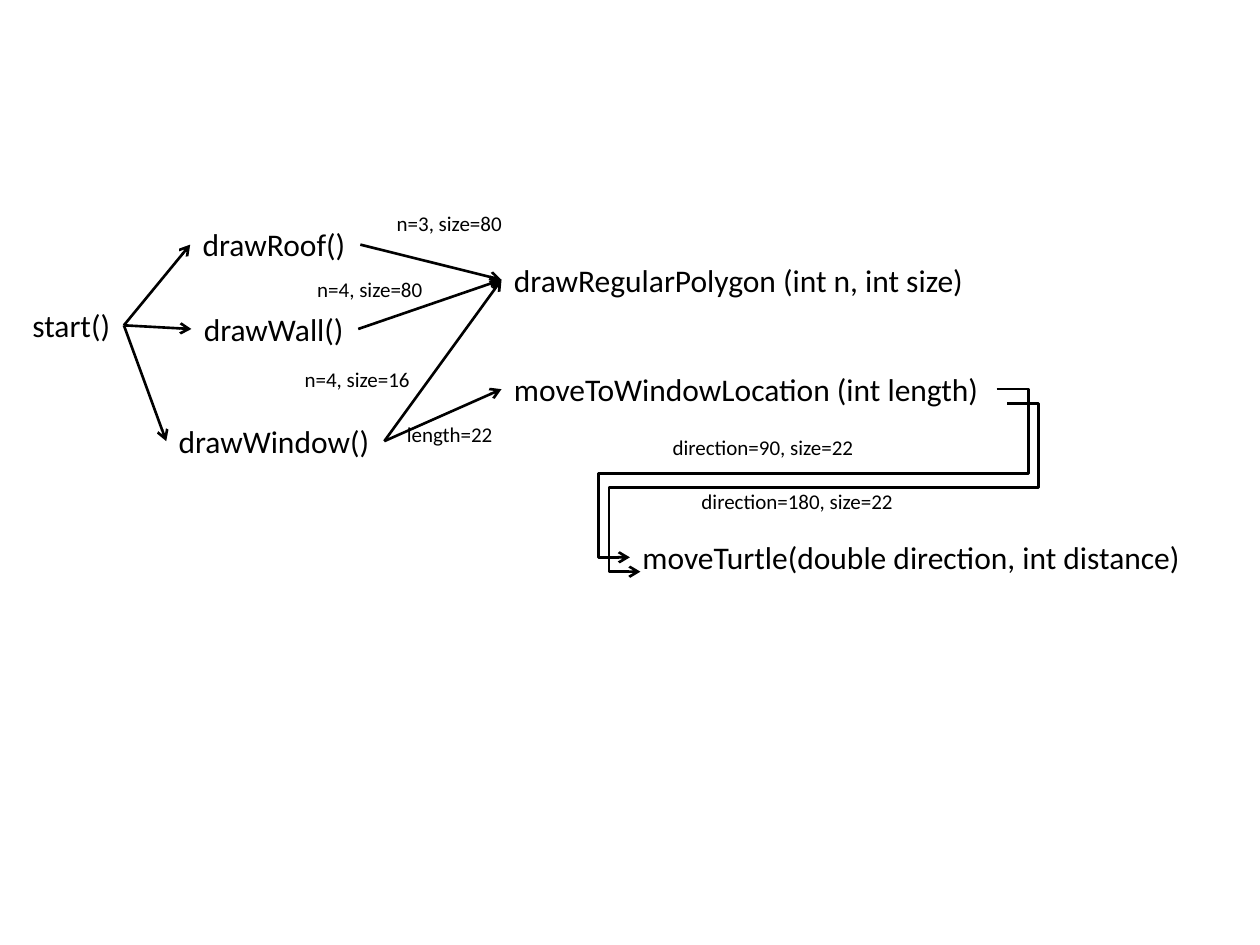
from lxml import etree
from pptx import Presentation
from pptx.dml.color import RGBColor
from pptx.enum import shapes, text
from pptx.oxml import ns
from pptx.util import Pt

BLACK = RGBColor(0, 0, 0)
FONT = "Calibri"

FUNCTIONS = {
    "start": ("start()", 11.4, 171.4, 59.4),
    "roof": ("drawRoof()", 108.7, 125.3, 97.2),
    "wall": ("drawWall()", 109.4, 173.5, 95.3),
    "window": ("drawWindow()", 95, 237.6, 124.6),
    "polygon": ("drawRegularPolygon (int n, int size)", 286.6, 145.4, 274.3),
    "location": ("moveToWindowLocation (int length)", 286.6, 207.9, 283),
    "turtle": ("moveTurtle(double direction, int distance)", 360, 304, 334),
}
FUNCTION_HEIGHT = 29

ARGUMENTS = [
    ("n=3, size=80", 219.6, 116.8, 75.6),
    ("n=4, size=80", 174.2, 154.2, 75.6),
    ("n=4, size=16", 167, 205.8, 75.6),
    ("direction=90, size=22", 377.3, 244.8, 119.5),
    ("direction=180, size=22", 393.8, 275.8, 125.3),
    ("length=22", 225.4, 237.6, 64),
]
ARGUMENT_HEIGHT = 21.8

CALLS = [
    ("start", "roof"), ("start", "wall"), ("start", "window"),
    ("roof", "polygon"), ("wall", "polygon"), ("window", "polygon"),
    ("window", "location"),
]
TURTLE_CALL_SHIFTS = [(0, 0), (6, 8.2)]
BENDS = (-8600, 50000, 108600)


def add_label(slide, wording, left, top, width, height, size):
    label = slide.shapes.add_textbox(Pt(left), Pt(top), Pt(width), Pt(height))
    frame = label.text_frame
    frame.word_wrap = False
    frame.auto_size = text.MSO_AUTO_SIZE.SHAPE_TO_FIT_TEXT
    frame.text = wording
    font = frame.paragraphs[0].runs[0].font
    font.name = FONT
    font.size = Pt(size)
    font.color.rgb = BLACK


def add_arrow(slide, caller, callee, kind=shapes.MSO_CONNECTOR.STRAIGHT, shift=(0, 0)):
    _, caller_left, caller_top, caller_width = FUNCTIONS[caller]
    _, callee_left, callee_top, _ = FUNCTIONS[callee]
    dx, dy = shift
    middle = FUNCTION_HEIGHT / 2 + dy
    arrow = slide.shapes.add_connector(
        kind,
        Pt(caller_left + caller_width + dx), Pt(caller_top + middle),
        Pt(callee_left + dx), Pt(callee_top + middle))
    arrow.line.color.rgb = BLACK
    arrow.line.width = Pt(1.5)
    properties = arrow.element.spPr
    etree.SubElement(properties.find(ns.qn("a:ln")), ns.qn("a:tailEnd"), type="arrow")
    etree.SubElement(properties, ns.qn("a:effectLst"))
    return arrow


def bend_around(arrow):
    geometry = arrow.element.spPr.find(ns.qn("a:prstGeom"))
    geometry.set("prst", "bentConnector5")
    guides = geometry.find(ns.qn("a:avLst"))
    for number, bend in enumerate(BENDS, 1):
        etree.SubElement(guides, ns.qn("a:gd"), name=f"adj{number}", fmla=f"val {bend}")


def main():
    deck = Presentation()
    deck.slide_width, deck.slide_height = Pt(720), Pt(540)
    slide = deck.slides.add_slide(deck.slide_layouts[6])
    for function in FUNCTIONS.values():
        add_label(slide, *function, FUNCTION_HEIGHT, 18)
    for caller, callee in CALLS:
        add_arrow(slide, caller, callee)
    for shift in TURTLE_CALL_SHIFTS:
        bend_around(add_arrow(slide, "location", "turtle", shapes.MSO_CONNECTOR.ELBOW, shift))
    for argument in ARGUMENTS:
        add_label(slide, *argument, ARGUMENT_HEIGHT, 12)
    deck.save("out.pptx")


main()
